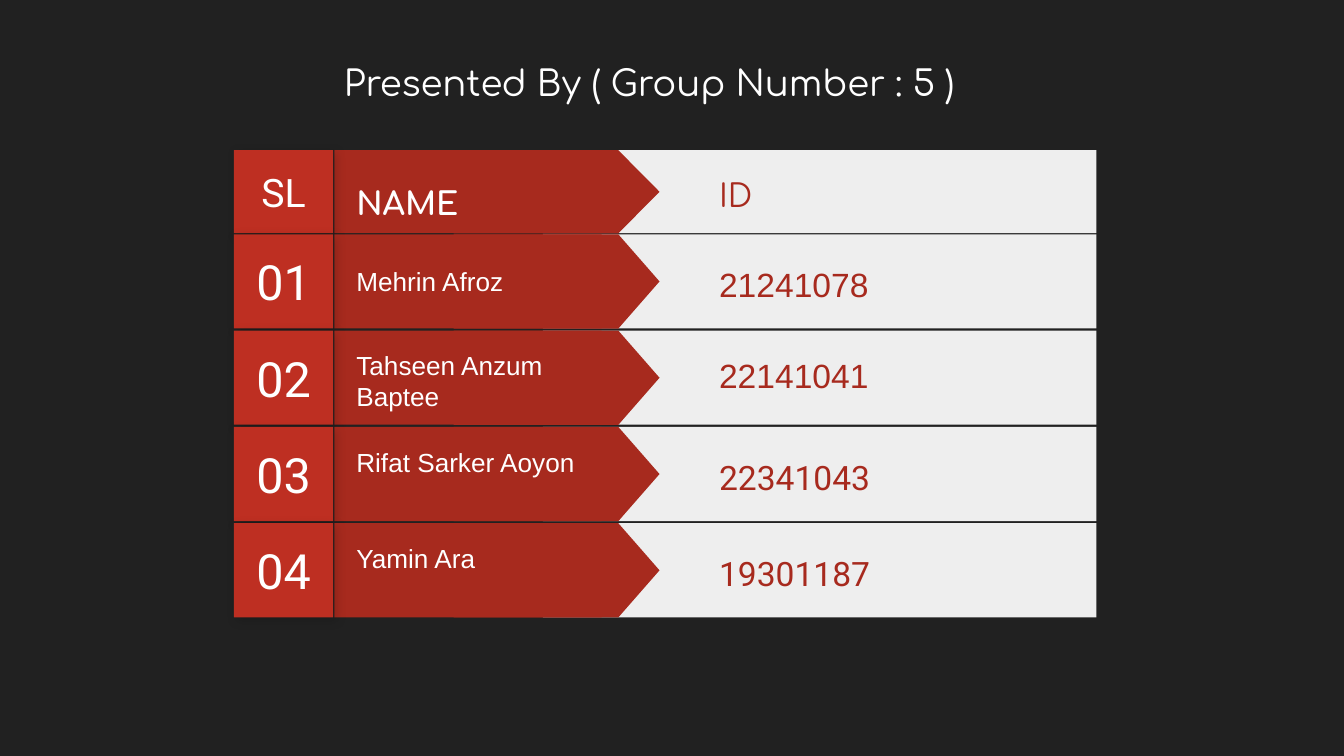
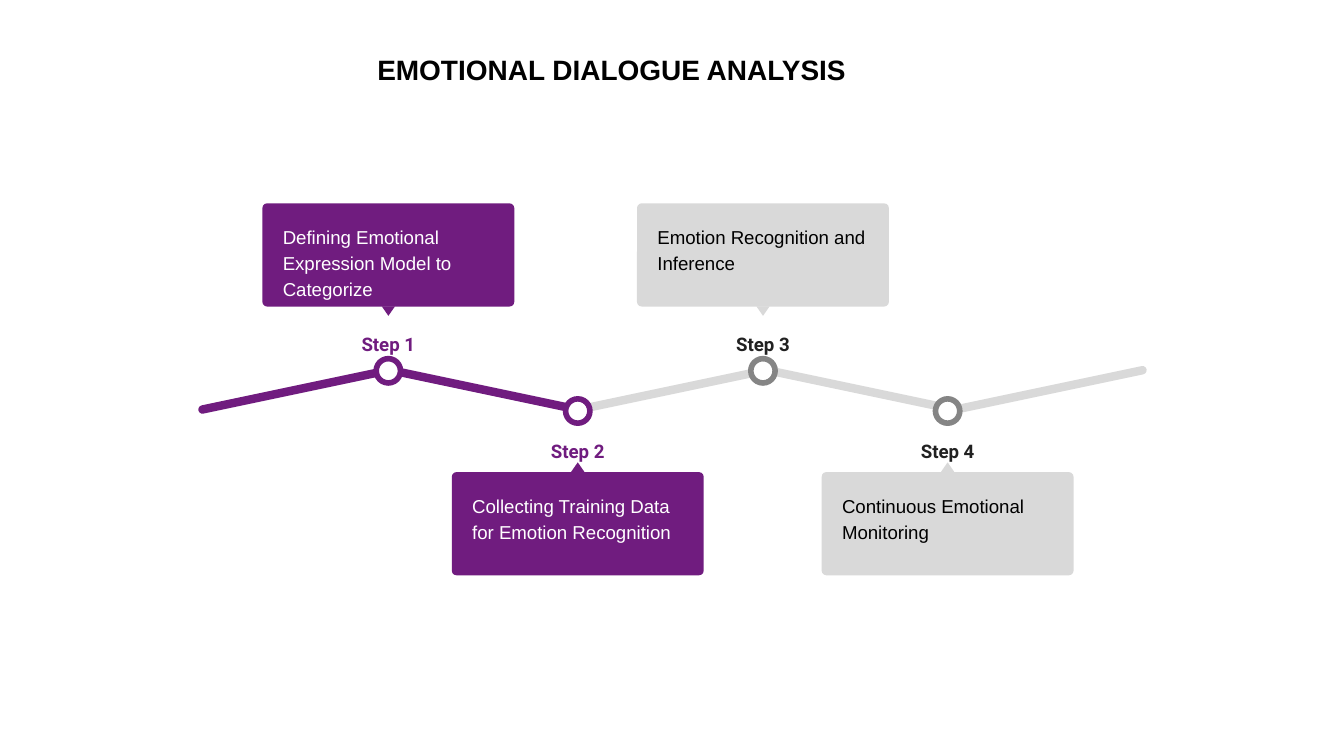
from dataclasses import dataclass

from lxml import etree
from pptx import Presentation
from pptx import util as u
from pptx.dml.color import RGBColor
from pptx.enum import shapes as kinds, text as t
from pptx.oxml.ns import qn
from pptx.shapes.autoshape import Shape
from pptx.slide import Slide

Kind = kinds.MSO_SHAPE


@dataclass(frozen=True)
class Theme:
    dark: str = "212121"
    white: str = "FFFFFF"
    black: str = "000000"
    panel: str = "EEEEEE"
    red: str = "A72A1E"
    badge: str = "BE2F22"
    purple: str = "701C7F"
    grey: str = "D9D9D9"
    ring: str = "858585"
    plain: str = "Arial"
    rounded: str = "Comfortaa"
    label: str = "Roboto"
    step_size: float = 10
    name_size: float = 14
    title_size: float = 15
    heading_size: float = 17
    id_size: float = 18
    group_title_size: float = 19
    badge_heading_size: float = 21
    badge_size: float = 26


THEME = Theme()


@dataclass(frozen=True)
class Style:
    font: str
    size: float
    color: str
    bold: bool = False
    spacing: float = 1.0


@dataclass(frozen=True)
class Box:
    """A rectangle in centimetres."""
    left: float
    top: float
    width: float
    height: float

    @classmethod
    def around(cls, x: float, y: float, width: float, height: float) -> "Box":
        return cls(x - width / 2, y - height / 2, width, height)

    @property
    def emu(self) -> tuple[u.Length, ...]:
        return tuple(u.Cm(v) for v in (self.left, self.top, self.width, self.height))


@dataclass(frozen=True)
class Member:
    """A row of the list; the shifts move a text off the row's middle."""
    number: str
    name: str
    student_id: str
    badge_style: Style
    name_style: Style
    id_style: Style
    name_shift: float = 0
    id_shift: float = 0


@dataclass(frozen=True)
class Step:
    label: str
    text: str
    x: float
    above: bool
    done: bool


NUMBER = Style(THEME.label, THEME.badge_size, THEME.white)
NAME = Style(THEME.plain, THEME.name_size, THEME.white)
ID_PLAIN = Style(THEME.plain, THEME.id_size, THEME.red, spacing=1.15)
ID_TIGHT = Style(THEME.plain, THEME.id_size, THEME.red)
ID_LABEL = Style(THEME.label, THEME.id_size, THEME.red, spacing=1.15)

HEADER = Member(
    "SL", "NAME", "ID",
    Style(THEME.label, THEME.badge_heading_size, THEME.white),
    Style(THEME.rounded, THEME.heading_size, THEME.white, True, 1.15),
    Style(THEME.rounded, THEME.heading_size, THEME.red, spacing=1.15),
    name_shift=0.15,
)
MEMBERS = [
    Member("01", "Mehrin Afroz", "21241078", NUMBER, NAME, ID_PLAIN),
    Member("02", "Tahseen Anzum Baptee", "22141041", NUMBER, NAME, ID_TIGHT, 0.05, -0.05),
    Member("03", "Rifat Sarker Aoyon", "22341043", NUMBER, NAME, ID_LABEL, -0.23),
    Member("04", "Yamin Ara", "19301187", NUMBER, NAME, ID_LABEL, -0.23),
]
STEPS = [
    Step("Step 1", "Defining Emotional Expression Model to Categorize", 7.34, True, True),
    Step("Step 2", "Collecting Training Data for Emotion Recognition", 10.92, False, True),
    Step("Step 3", "Emotion Recognition and Inference", 14.42, True, False),
    Step("Step 4", "Continuous Emotional Monitoring", 17.91, False, False),
]

INSET = 0.25
TITLE_INDENT = 1.27


def rgb(color: str) -> RGBColor:
    return RGBColor.from_string(color)


def write(shape: Shape, text: str, style: Style, align=t.PP_ALIGN.LEFT,
          anchor=t.MSO_ANCHOR.MIDDLE, left: float = INSET, top: float = INSET) -> None:
    frame = shape.text_frame
    frame.text = text
    frame.word_wrap = True
    frame.auto_size = t.MSO_AUTO_SIZE.NONE
    frame.vertical_anchor = anchor
    frame.margin_left, frame.margin_top = u.Cm(left), u.Cm(top)
    frame.margin_right = frame.margin_bottom = u.Cm(INSET)
    paragraph = frame.paragraphs[0]
    paragraph.alignment = align
    paragraph.line_spacing = style.spacing
    font = paragraph.font
    font.name, font.size, font.bold = style.font, u.Pt(style.size), style.bold
    font.color.rgb = rgb(style.color)


def draw(shapes, kind: Kind, box: Box, fill: str, rotation: float = 0) -> Shape:
    shape = shapes.add_shape(kind, *box.emu)
    shape.shadow.inherit = False
    shape.fill.solid()
    shape.fill.fore_color.rgb = rgb(fill)
    shape.line.fill.background()
    shape.rotation = rotation
    return shape


def add_soft_shadow(shape: Shape) -> None:
    effects = shape.element.spPr.find(qn("a:effectLst"))
    shadow = etree.SubElement(effects, qn("a:outerShdw"), blurRad=str(u.Pt(5.6)),
                              dist=str(u.Pt(2.2)), dir=str(45 * 60000), rotWithShape="0")
    color = etree.SubElement(shadow, qn("a:srgbClr"), val=THEME.black)
    etree.SubElement(color, qn("a:alpha"), val="17000")


def add_titled_slide(presentation, background: str, title: str, style: Style, box: Box) -> Slide:
    slide = presentation.slides.add_slide(presentation.slide_layouts[5])
    slide.background.fill.solid()
    slide.background.fill.fore_color.rgb = rgb(background)
    shape = slide.shapes.title
    shape.left, shape.top, shape.width, shape.height = box.emu
    write(shape, title, style, anchor=t.MSO_ANCHOR.TOP, left=INSET + TITLE_INDENT)
    return slide


def add_member_row(slide: Slide, member: Member, top: float, height: float) -> None:
    shapes = slide.shapes.add_group_shape().shapes
    middle = top + height / 2
    draw(shapes, Kind.RECTANGLE, Box(10.26, top, 10.46, height), THEME.panel)
    draw(shapes, Kind.RECTANGLE, Box(6.32, top, 5.05, height), THEME.red)
    draw(shapes, Kind.FLOWCHART_OFFPAGE_CONNECTOR,
         Box.around(10.52, middle, height, 3.89), THEME.red, 270)
    name_box = Box.around(9.14, middle + member.name_shift, 5.31, height - 0.4)
    write(shapes.add_textbox(*name_box.emu), member.name, member.name_style)
    badge = draw(shapes, Kind.RECTANGLE, Box(4.42, top, 1.88, height), THEME.badge)
    add_soft_shadow(badge)
    write(badge, member.number, member.badge_style, t.PP_ALIGN.CENTER)
    id_box = Box(12.07, top + member.id_shift, 8.13, height)
    write(shapes.add_textbox(*id_box.emu), member.student_id, member.id_style,
          left=INSET + TITLE_INDENT)


def add_zigzag(slide: Slide, count: int, done: int) -> None:
    """Draw bars that rise and fall in turn, the first ones marked as done."""
    for index in range(count):
        draw_color = THEME.purple if index < done else THEME.grey
        bar = draw(slide.shapes, Kind.ROUNDED_RECTANGLE,
                   Box.around(5.59 + 3.56 * index, 7.37, 3.76, 0.16),
                   draw_color, 11.9 if index % 2 else 348.1)
        bar.adjustments[0] = 0.5


def add_step(slide: Slide, step: Step) -> None:
    shapes = slide.shapes.add_group_shape().shapes
    fill = THEME.purple if step.done else THEME.grey
    ring = THEME.purple if step.done else THEME.ring
    label_color = THEME.purple if step.done else THEME.dark
    text_color = THEME.white if step.done else THEME.black
    if step.above:
        card_y, pointer_y, label_y, node_y, rotation = 4.82, 5.88, 6.35, 7.01, 180
    else:
        card_y, pointer_y, label_y, node_y, rotation = 9.9, 8.83, 8.38, 7.77, 0

    card = draw(shapes, Kind.ROUNDED_RECTANGLE, Box.around(step.x, card_y, 4.76, 1.95), fill)
    card.adjustments[0] = 0.045
    write(card, step.text, Style(THEME.plain, THEME.step_size, text_color, spacing=1.15),
          anchor=t.MSO_ANCHOR.TOP, left=0.36, top=0.34)
    draw(shapes, Kind.ISOSCELES_TRIANGLE, Box.around(step.x, pointer_y, 0.25, 0.18),
         fill, rotation)
    label = shapes.add_textbox(*Box.around(step.x, label_y, 1.93, 0.76).emu)
    write(label, step.label, Style(THEME.label, THEME.step_size, label_color, True, 1.15),
          t.PP_ALIGN.CENTER, t.MSO_ANCHOR.TOP)
    node = draw(shapes, Kind.OVAL, Box.around(step.x, node_y, 0.46, 0.46), THEME.white)
    node.line.color.rgb = rgb(ring)
    node.line.width = u.Pt(3)


def build_group_slide(presentation) -> None:
    slide = add_titled_slide(
        presentation, THEME.dark, "Presented By ( Group Number : 5 )",
        Style(THEME.rounded, THEME.group_title_size, THEME.white),
        Box(4.98, 0.91, 13.51, 1.93))
    add_member_row(slide, HEADER, 2.84, 1.57)
    for index, member in enumerate(MEMBERS):
        add_member_row(slide, member, 4.43 + 1.82 * index, 1.78)


def build_steps_slide(presentation) -> None:
    slide = add_titled_slide(
        presentation, THEME.white, "EMOTIONAL DIALOGUE ANALYSIS",
        Style(THEME.plain, THEME.title_size, THEME.black, True, 1.15),
        Box(5.61, 0.64, 13.26, 1.85))
    add_zigzag(slide, len(STEPS) + 1, sum(step.done for step in STEPS))
    for step in STEPS:
        add_step(slide, step)


def main() -> None:
    presentation = Presentation()
    presentation.slide_width, presentation.slide_height = u.Cm(25.4), u.Cm(14.29)
    build_group_slide(presentation)
    build_steps_slide(presentation)
    presentation.save("out.pptx")


if __name__ == "__main__":
    main()
